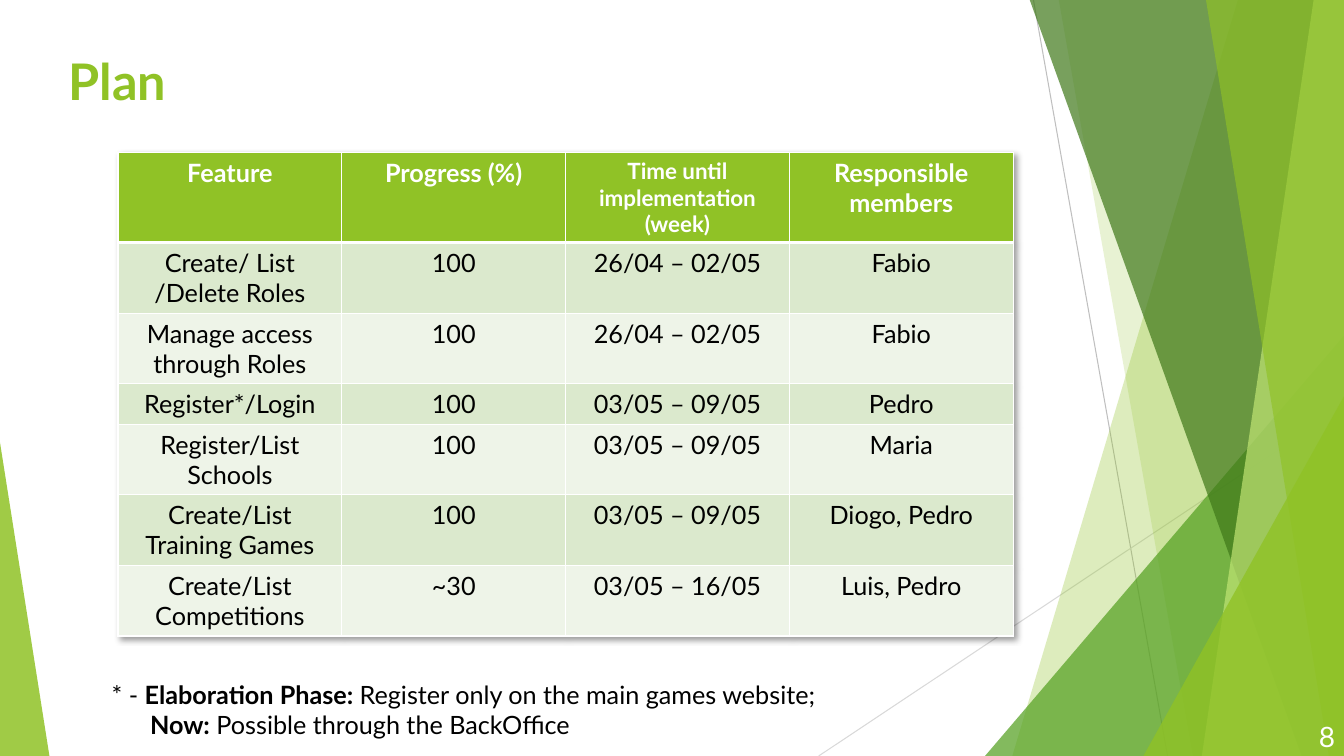
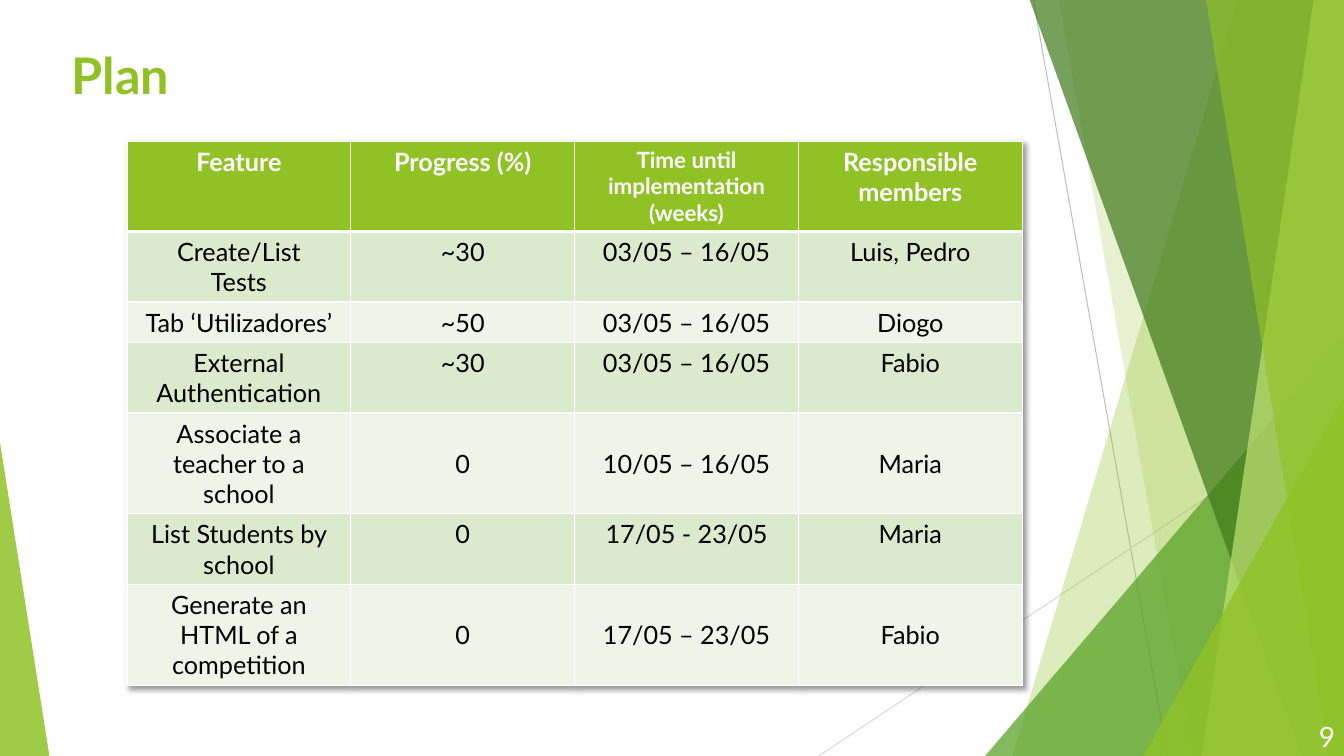
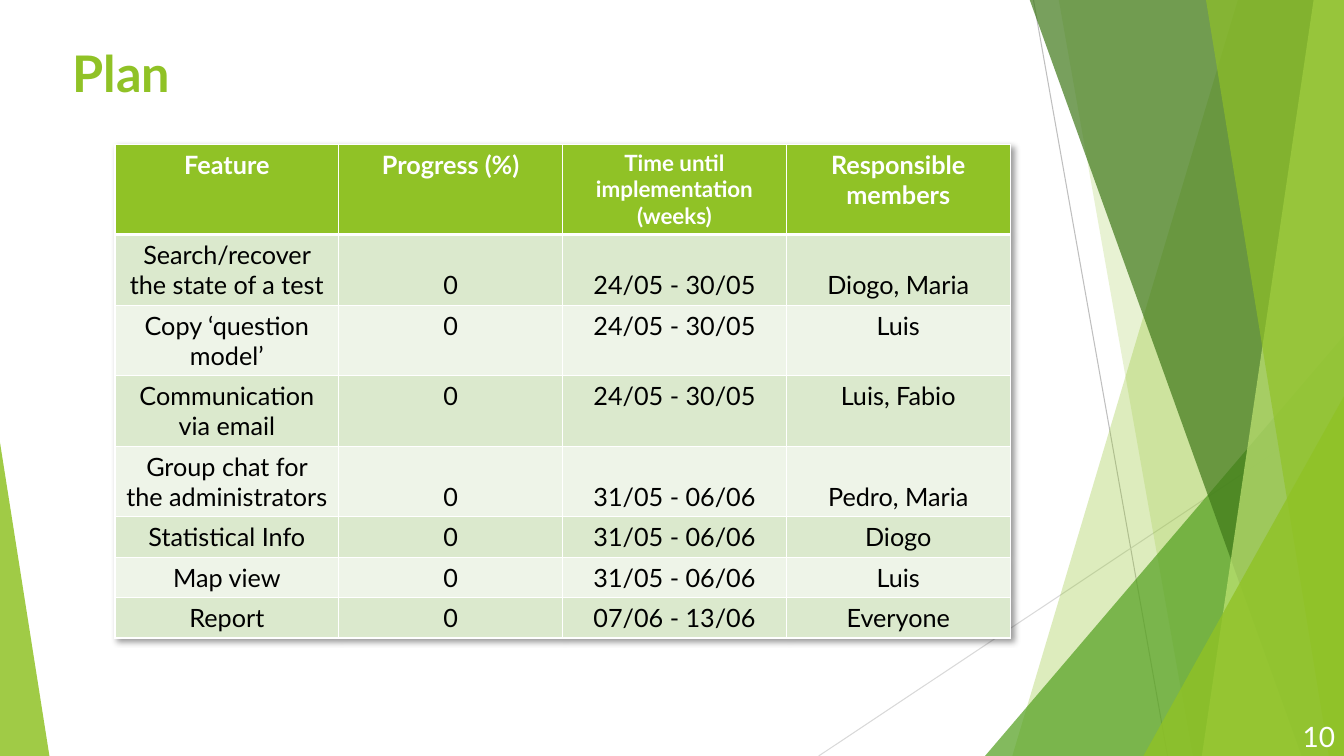
from lxml import etree
from pptx import Presentation
from pptx.dml.color import RGBColor
from pptx.enum.shapes import MSO_CONNECTOR, MSO_SHAPE
from pptx.enum.text import MSO_ANCHOR, PP_ALIGN
from pptx.oxml.ns import qn
from pptx.util import Inches, Pt

STRAIGHT = MSO_CONNECTOR.STRAIGHT
TRIANGLE = MSO_SHAPE.ISOSCELES_TRIANGLE
TOP, MIDDLE, BOTTOM = MSO_ANCHOR.TOP, MSO_ANCHOR.MIDDLE, MSO_ANCHOR.BOTTOM
LEFT, CENTER, RIGHT = PP_ALIGN.LEFT, PP_ALIGN.CENTER, PP_ALIGN.RIGHT

LIME = RGBColor(0x90, 0xC2, 0x26)
PALE_LIME = RGBColor(0xC0, 0xE4, 0x74)
GREEN = RGBColor(0x54, 0xA0, 0x21)
DARK_GREEN = RGBColor(0x3F, 0x78, 0x19)
ROW_DARK = RGBColor(0xDB, 0xE9, 0xCD)
ROW_LIGHT = RGBColor(0xEE, 0xF4, 0xE8)
LINE_GRAY = RGBColor(0xBF, 0xBF, 0xBF)
LINE_PALE = RGBColor(0xD9, 0xD9, 0xD9)
WHITE = RGBColor(0xFF, 0xFF, 0xFF)
BLACK = RGBColor(0, 0, 0)

FONT = "Lato"
PAGE_WIDTH, PAGE_HEIGHT = 13.33, 7.5
TABLE_WIDTH = 8.88
HEADER_HEIGHT = 0.88
LINE_HEIGHT, CELL_PADDING = 0.3, 0.1

PLANS = [
    {
        "number": "8", "title_at": (0.58, 0.45), "table_at": (1.17, 1.51), "unit": "(week)",
        "rows": [
            (2, TOP, "Create/ List /Delete Roles", "100", "26/04 – 02/05", "Fabio"),
            (2, TOP, "Manage access through Roles", "100", "26/04 – 02/05", "Fabio"),
            (1, TOP, "Register*/Login", "100", "03/05 – 09/05", "Pedro"),
            (2, TOP, "Register/List Schools", "100", "03/05 – 09/05", "Maria"),
            (2, TOP, "Create/List\nTraining Games", "100", "03/05 – 09/05", "Diogo, Pedro"),
            (2, TOP, "Create/List Competitions", "~30", "03/05 – 16/05", "Luis, Pedro"),
        ],
    },
    {
        "number": "9", "title_at": (0.61, 0.39), "table_at": (1.26, 1.4), "unit": "(weeks)",
        "rows": [
            (2, TOP, "Create/List\nTests", "~30", "03/05 – 16/05", "Luis, Pedro"),
            (1, TOP, "Tab ‘Utilizadores’", "~50", "03/05 – 16/05", "Diogo"),
            (2, TOP, "External Authentication", "~30", "03/05 – 16/05", "Fabio"),
            (3, MIDDLE, "Associate a teacher to a school", "0", "10/05 – 16/05", "Maria"),
            (2, TOP, "List Students by school", "0", "17/05 - 23/05", "Maria"),
            (3, MIDDLE, "Generate an HTML of a competition", "0", "17/05 – 23/05", "Fabio"),
        ],
    },
    {
        "number": "10", "title_at": (0.62, 0.37), "table_at": (1.14, 1.43), "unit": "(weeks)",
        "rows": [
            (2, BOTTOM, "Search/recover the state of a test", "0", "24/05 - 30/05", "Diogo, Maria"),
            (2, TOP, "Copy ‘question model’", "0", "24/05 - 30/05", "Luis"),
            (2, TOP, "Communication via email", "0", "24/05 - 30/05", "Luis, Fabio"),
            (2, BOTTOM, "Group chat for the administrators", "0", "31/05 - 06/06", "Pedro, Maria"),
            (1, TOP, "Statistical Info", "0", "31/05 - 06/06", "Diogo"),
            (1, TOP, "Map view", "0", "31/05 - 06/06", "Luis"),
            (1, TOP, "Report", "0", "07/06 - 13/06", "Everyone"),
        ],
    },
]

FOOTNOTE = [
    (0.13, [("* - ", False), ("Elaboration Phase: ", True),
            ("Register only on the main games website;", False)]),
    (0.51, [("Now:", True), (" Possible through the BackOffice", False)]),
]


def add_span(para, text, size, color, bold=False):
    span = para.add_run()
    span.text = text
    span.font.name = FONT
    span.font.size = Pt(size)
    span.font.bold = bold
    span.font.color.rgb = color


def color_node(parent, color, opacity=100):
    node = etree.SubElement(parent, qn("a:srgbClr"), val=str(color))
    if opacity < 100:
        etree.SubElement(node, qn("a:alpha"), val=str(opacity * 1000))


def paint(shape, color, opacity):
    shape.shadow.inherit = False
    shape.line.fill.background()
    shape.fill.solid()
    shape.fill.fore_color.rgb = color
    solid = shape.element.spPr.find(qn("a:solidFill"))
    solid.clear()
    color_node(solid, color, opacity)


def add_ray(group, start, end, color):
    ray = group.shapes.add_connector(STRAIGHT, *map(Inches, start + end))
    ray.line.color.rgb = color
    ray.line.width = Pt(0.75)
    etree.SubElement(ray.element.spPr, qn("a:effectLst"))


def add_band(group, top_x, bottom_x, color, opacity):
    top = -0.01
    corners = [(PAGE_WIDTH, top), (PAGE_WIDTH, PAGE_HEIGHT), (bottom_x, PAGE_HEIGHT)]
    outline = group.shapes.build_freeform(Inches(top_x), Inches(top))
    outline.add_line_segments([(Inches(x), Inches(y)) for x, y in corners], close=True)
    paint(outline.convert_to_shape(), color, opacity)


def add_wedge(group, left, top, width, apex, color, opacity):
    box = (left, top, width, PAGE_HEIGHT - top)
    wedge = group.shapes.add_shape(TRIANGLE, *map(Inches, box))
    wedge.adjustments[0] = apex
    paint(wedge, color, opacity)


def add_facets(page):
    group = page.shapes.add_group_shape()
    add_ray(group, (10.25, 0), (11.58, PAGE_HEIGHT), LINE_GRAY)
    add_ray(group, (PAGE_WIDTH, 4.03), (8.12, PAGE_HEIGHT), LINE_PALE)
    add_band(group, 12.28, 10.04, LIME, 30)
    add_band(group, 10.5, 11.83, LIME, 20)
    add_wedge(group, 9.77, 3.33, 3.56, 1, GREEN, 72)
    add_band(group, 10.21, 12.91, DARK_GREEN, 70)
    add_band(group, 13.03, 11.92, PALE_LIME, 70)
    add_band(group, 11.96, 13.18, LIME, 65)
    add_wedge(group, 11.34, 3.93, 1.99, 1, LIME, 80)
    add_wedge(group, 0, 4.39, 0.49, 0, LIME, 85)
    return group


def move_to_layout(group, layout):
    for holder in list(layout.placeholders):
        if holder.placeholder_format.idx != 0:
            holder.element.getparent().remove(holder.element)
    layout.shapes.element.insert(2, group.element)


def add_title(page, left, top):
    title = page.shapes.title
    title.left, title.top = Inches(left), Inches(top)
    title.width, title.height = Inches(11), Inches(1.5)
    title.text_frame.vertical_anchor = TOP
    para = title.text_frame.paragraphs[0]
    para.alignment = LEFT
    add_span(para, "Plan", 36, LIME, True)


def set_borders(cell, top_width, bottom_width):
    widths = {"a:lnL": 1, "a:lnR": 1, "a:lnT": top_width, "a:lnB": bottom_width}
    properties = cell._tc.get_or_add_tcPr()
    for position, (tag, width) in enumerate(widths.items()):
        border = etree.Element(qn(tag), w=str(Pt(width)))
        color_node(etree.SubElement(border, qn("a:solidFill")), WHITE)
        properties.insert(position, border)


def fill_cell(cell, text, size, color, bold, fill, anchor):
    cell.fill.solid()
    cell.fill.fore_color.rgb = fill
    cell.vertical_anchor = anchor
    frame = cell.text_frame
    for index, line in enumerate(text.split("\n")):
        para = frame.add_paragraph() if index else frame.paragraphs[0]
        para.alignment = CENTER
        add_span(para, line, size, color, bold)


def add_table_shadow(table):
    effects = etree.Element(qn("a:effectLst"))
    shadow = etree.SubElement(effects, qn("a:outerShdw"), blurRad=str(Pt(4)), dist=str(Pt(3)),
                              dir="2700000", algn="tl", rotWithShape="0")
    color_node(shadow, BLACK, 40)
    table._tbl.tblPr.insert(0, effects)


def add_plan_table(page, left, top, unit, rows):
    headings = ["Feature", "Progress (%)", "Time until implementation\n" + unit,
                "Responsible members"]
    heights = [HEADER_HEIGHT] + [CELL_PADDING + LINE_HEIGHT * row[0] for row in rows]
    box = (left, top, TABLE_WIDTH, sum(heights))
    table = page.shapes.add_table(len(heights), len(headings), *map(Inches, box)).table
    add_table_shadow(table)
    for row, height in zip(table.rows, heights):
        row.height = Inches(height)
    for column, heading in enumerate(headings):
        cell = table.cell(0, column)
        fill_cell(cell, heading, 16 if "\n" in heading else 18, WHITE, True, LIME, TOP)
        set_borders(cell, 1, 3)
    for index, (_, anchor, *texts) in enumerate(rows, 1):
        fill = ROW_DARK if index % 2 else ROW_LIGHT
        for column, text in enumerate(texts):
            cell = table.cell(index, column)
            fill_cell(cell, text, 18, BLACK, False, fill, anchor)
            set_borders(cell, 3 if index == 1 else 1, 1)


def add_footnote(page, left, top, width, height):
    box = page.shapes.add_textbox(*map(Inches, (left, top, width, height)))
    frame = box.text_frame
    frame.word_wrap = True
    for index, (indent, spans) in enumerate(FOOTNOTE):
        para = frame.add_paragraph() if index else frame.paragraphs[0]
        para._p.get_or_add_pPr().set("marL", str(Inches(indent)))
        for text, bold in spans:
            add_span(para, text, 18, BLACK, bold)


def add_page_number(page, number):
    box = page.shapes.add_textbox(*map(Inches, (12.59, 7.1, 0.75, 0.4)))
    frame = box.text_frame
    frame.word_wrap = True
    frame.vertical_anchor = MIDDLE
    para = frame.paragraphs[0]
    para.alignment = RIGHT
    add_span(para, number, 20, WHITE)


def add_plan_page(deck, layout, plan):
    page = deck.slides.add_slide(layout)
    add_title(page, *plan["title_at"])
    add_plan_table(page, *plan["table_at"], plan["unit"], plan["rows"])
    add_page_number(page, plan["number"])
    return page


def main():
    deck = Presentation()
    deck.slide_width, deck.slide_height = Inches(PAGE_WIDTH), Inches(PAGE_HEIGHT)
    layout = deck.slide_layouts.get_by_name("Title Only")
    pages = [add_plan_page(deck, layout, plan) for plan in PLANS]
    move_to_layout(add_facets(pages[0]), layout)
    add_footnote(pages[0], 0.88, 6.69, 7.77, 0.71)
    deck.save("out.pptx")


if __name__ == "__main__":
    main()
